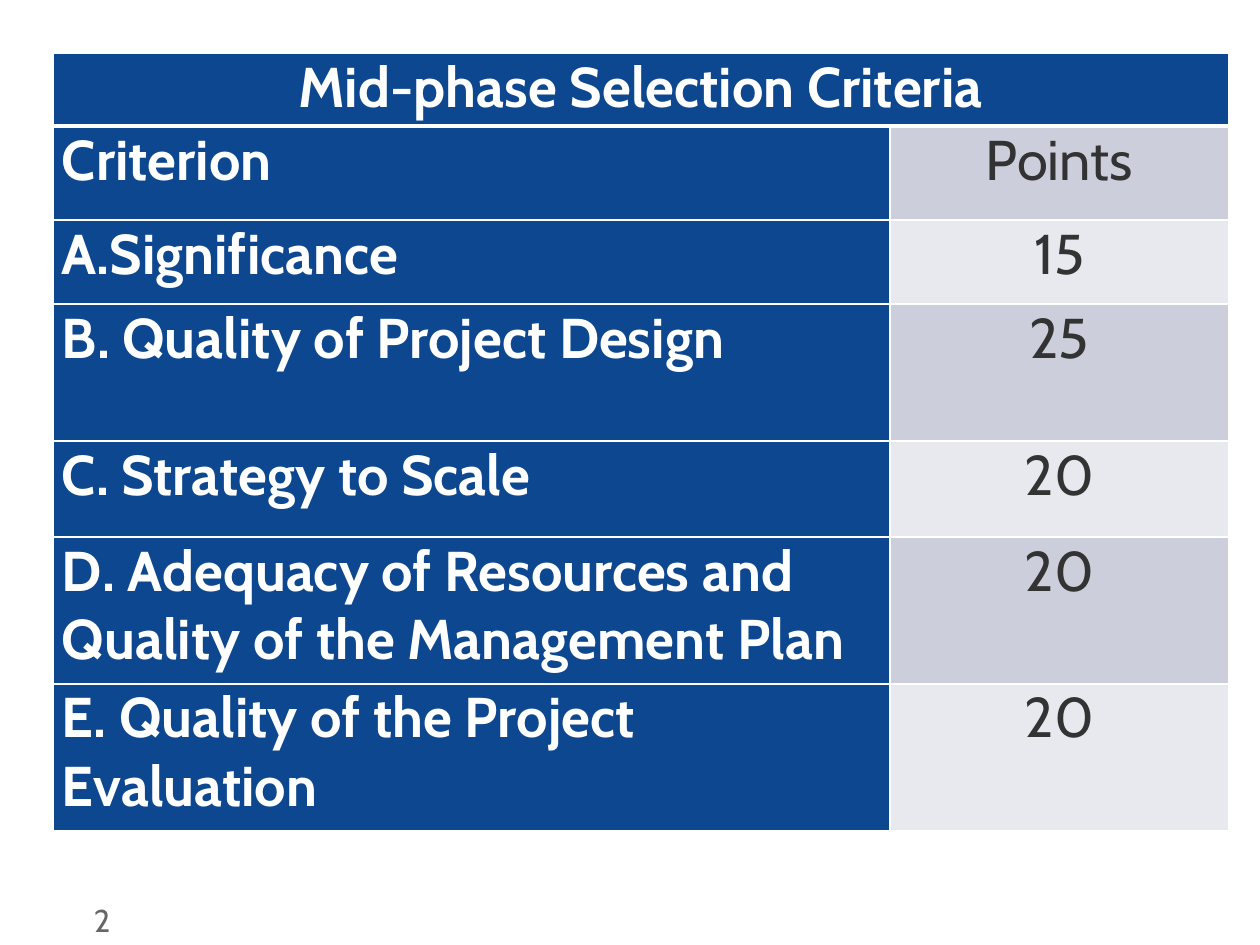
import pptx
import pptx.util
import pptx.dml.color
import pptx.enum.text
import pptx.oxml.ns
from lxml import etree

RGBColor = pptx.dml.color.RGBColor
PP_ALIGN = pptx.enum.text.PP_ALIGN
qn = pptx.oxml.ns.qn

WHITE = RGBColor(0xFF, 0xFF, 0xFF)
BLUE = RGBColor(0x0C, 0x47, 0x90)
DARK = RGBColor(0x33, 0x33, 0x33)
GRAY = RGBColor(0x66, 0x66, 0x66)
BANDS = [RGBColor(0xCC, 0xCF, 0xDB), RGBColor(0xE7, 0xE9, 0xEE)]
FONT = "Cabin"
PX = 914400 / 126


def px(n):
    return pptx.util.Emu(round(n * PX))


def format_cell(cell, text, fill, color, bold, align, bottom=1):
    cell.margin_left = cell.margin_right = px(9)
    cell.margin_top = cell.margin_bottom = 0
    cell.fill.solid()
    cell.fill.fore_color.rgb = fill
    # White borders come before the fill in the cell properties
    tcPr = cell._tc.get_or_add_tcPr()
    for i, (side, width) in enumerate([("L", 1), ("R", 1), ("T", 1), ("B", bottom)]):
        ln = etree.Element(qn("a:ln" + side), w=str(pptx.util.Pt(width)))
        solid = etree.SubElement(ln, qn("a:solidFill"))
        etree.SubElement(solid, qn("a:srgbClr"), val=str(WHITE))
        tcPr.insert(i, ln)
    p = cell.text_frame.paragraphs[0]
    p.alignment = align
    r = p.add_run()
    r.text = text
    r.font.name = FONT
    r.font.size = pptx.util.Pt(32)
    r.font.bold = bold
    r.font.color.rgb = color


prs = pptx.Presentation()
prs.slide_width, prs.slide_height = px(1260), px(945)
s = prs.slides.add_slide(prs.slide_layouts[6])

# Slide number
sp = s.shapes.add_textbox(px(94), px(895), px(73), px(50))
tf = sp.text_frame
tf.word_wrap = True
tf.margin_left = tf.margin_right = 0
tf.margin_top = tf.margin_bottom = px(6)
r = tf.paragraphs[0].add_run()
r.text = "2"
r.font.name = FONT
r.font.size = pptx.util.Pt(18)
r.font.color.rgb = GRAY

# Criteria table
criteria = [
    ("Criterion", "Points"),
    ("Significance", "15"),
    ("B. Quality of Project Design", "25"),
    ("C. Strategy to Scale", "20"),
    ("D. Adequacy of Resources and Quality of the Management Plan", "20"),
    ("E. Quality of the Project Evaluation", "20"),
]
widths = [837, 339]
heights = [73, 94, 84, 137, 96, 147, 147]
table = s.shapes.add_table(len(heights), len(widths), px(53), px(53),
                           px(sum(widths)), px(sum(heights))).table
for col, width in zip(table.columns, widths):
    col.width = px(width)
for row, height in zip(table.rows, heights):
    row.height = px(height)

# Heading across both columns
table.cell(0, 0).merge(table.cell(0, 1))
format_cell(table.cell(0, 0), "Mid-phase Selection Criteria", BLUE, WHITE, True,
            PP_ALIGN.CENTER, bottom=3)

# Criteria with their points
for i, (criterion, points) in enumerate(criteria):
    format_cell(table.cell(i + 1, 0), criterion, BLUE, WHITE, True, PP_ALIGN.LEFT)
    format_cell(table.cell(i + 1, 1), points, BANDS[i % 2], DARK, False, PP_ALIGN.CENTER)

# The first criterion is lettered automatically
pPr = table.cell(2, 0).text_frame.paragraphs[0]._p.get_or_add_pPr()
pPr.set("marL", str(px(48)))
pPr.set("indent", str(-px(48)))
etree.SubElement(pPr, qn("a:buFont"), typeface=FONT)
etree.SubElement(pPr, qn("a:buAutoNum"), type="alphaUcPeriod")

prs.save("out.pptx")
